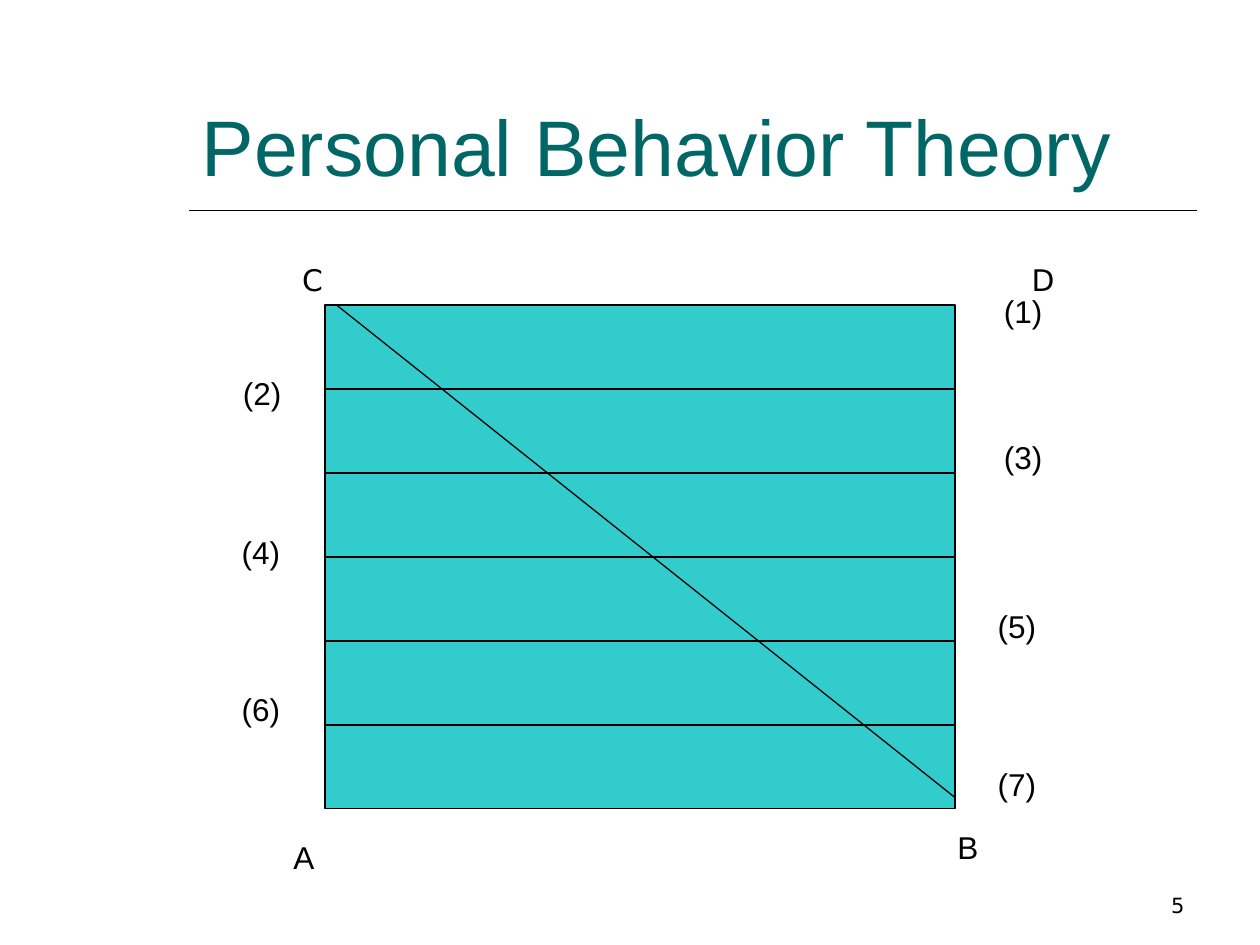
"""Build the Personal Behavior Theory slide with its banded A-B-C-D diagram."""
import pptx
import pptx.dml.color
import pptx.enum.shapes
import pptx.enum.text
import pptx.oxml
import pptx.oxml.ns
import pptx.util

Inches = pptx.util.Inches
RGBColor = pptx.dml.color.RGBColor
ALIGN = pptx.enum.text.PP_ALIGN
ANCHOR = pptx.enum.text.MSO_ANCHOR

BLACK = RGBColor(0x00, 0x00, 0x00)
DARK_TEAL = RGBColor(0x00, 0x66, 0x66)
TURQUOISE = RGBColor(0x33, 0xCC, 0xCC)

TITLE = "Personal Behavior Theory"
PAGE_NUMBER = "5"
CORNERS = [
    ("C", 2.3, 2.03, 17, "DejaVu Sans"),
    ("D", 8.09, 2.03, 17, "DejaVu Sans"),
    ("A", 2.23, 6.6, 18, "Arial"),
    ("B", 7.5, 6.52, 18, "Arial"),
]
STEPS = [
    ("(1)", 7.87, 2.27),
    ("(2)", 1.83, 2.92),
    ("(3)", 7.87, 3.43),
    ("(4)", 1.82, 4.18),
    ("(5)", 7.82, 4.77),
    ("(6)", 1.82, 5.43),
    ("(7)", 7.82, 6.02),
]
LABEL_SIZE = (0.57, 0.4)
BAND_COUNT = 6
BANDS_LEFT, BANDS_TOP, BANDS_WIDTH, BANDS_HEIGHT = 2.58, 2.42, 5, 4
RULE = (1.5, 1.67, 9.5, 1.67)
DIAGONAL = (2.67, 2.42, 7.58, 6.33)


def write_text(shape, text, size, font_name, color=BLACK, align=ALIGN.LEFT, anchor=ANCHOR.TOP):
    frame = shape.text_frame
    frame.word_wrap = True
    frame.auto_size = pptx.enum.text.MSO_AUTO_SIZE.NONE
    frame.vertical_anchor = anchor
    paragraph = frame.paragraphs[0]
    paragraph.alignment = align
    run = paragraph.add_run()
    run.text = text
    run.font.size = pptx.util.Pt(size)
    run.font.name = font_name
    run.font.color.rgb = color


def add_label(slide, text, left, top, size=18, font_name="Arial"):
    box = slide.shapes.add_textbox(Inches(left), Inches(top), *map(Inches, LABEL_SIZE))
    write_text(box, text, size, font_name)


def add_line(slide, ends, width):
    line = slide.shapes.add_connector(
        pptx.enum.shapes.MSO_CONNECTOR.STRAIGHT, *map(Inches, ends)
    )
    line.line.color.rgb = BLACK
    line.line.width = pptx.util.Pt(width)
    properties = line._element.find(pptx.oxml.ns.qn("p:spPr"))
    properties.append(pptx.oxml.parse_xml(f"<a:effectLst {pptx.oxml.ns.nsdecls('a')}/>"))


def add_bands(slide):
    height = BANDS_HEIGHT / BAND_COUNT
    for index in range(BAND_COUNT):
        band = slide.shapes.add_shape(
            pptx.enum.shapes.MSO_SHAPE.RECTANGLE,
            Inches(BANDS_LEFT),
            Inches(BANDS_TOP + index * height),
            Inches(BANDS_WIDTH),
            Inches(height),
        )
        band.shadow.inherit = False
        band.fill.solid()
        band.fill.fore_color.rgb = TURQUOISE
        band.line.color.rgb = BLACK
        band.line.width = pptx.util.Pt(0.75)


def main():
    presentation = pptx.Presentation()
    presentation.slide_width, presentation.slide_height = Inches(10), Inches(7.5)
    slide = presentation.slides.add_slide(presentation.slide_layouts[5])

    title = slide.shapes.title
    title.left, title.top = Inches(1.5), Inches(0.33)
    title.width, title.height = Inches(8), Inches(1.25)
    write_text(title, TITLE, 45, "Arial", DARK_TEAL, anchor=ANCHOR.BOTTOM)
    add_line(slide, RULE, 1)

    number = slide.shapes.add_textbox(Inches(7.17), Inches(6.83), Inches(2.33), Inches(0.5))
    write_text(number, PAGE_NUMBER, 12, "DejaVu Sans", align=ALIGN.RIGHT, anchor=ANCHOR.BOTTOM)

    add_bands(slide)
    add_line(slide, DIAGONAL, 0.75)
    for label in CORNERS + STEPS:
        add_label(slide, *label)

    presentation.save("out.pptx")


if __name__ == "__main__":
    main()
